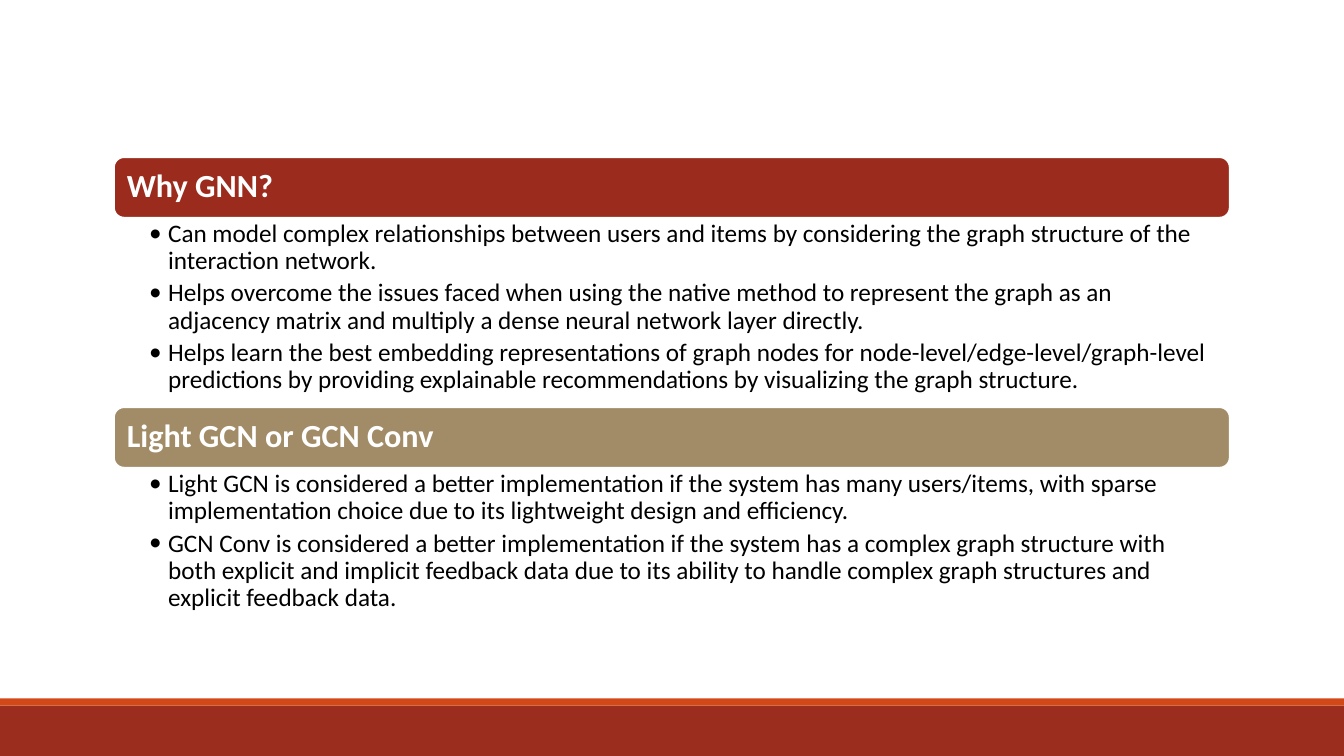
"""Build a slide on graph networks with two titled bullet lists."""
import pptx
import pptx.dml.color
import pptx.enum.shapes
import pptx.enum.text
import pptx.oxml.ns
import pptx.util
from lxml import etree

Pt = pptx.util.Pt
SHAPE = pptx.enum.shapes.MSO_SHAPE
COLORS = {"white": "FFFFFF", "black": "000000", "brick": "9B2D1F",
          "orange": "D34817", "red": "9B2B1C", "tan": "A28C67"}
FONT = "Calibri"
LEFT, WIDTH, HEAD = 81.4, 797, 43.2
PARTS = [
    ("Why GNN?", "red", 112.3, 134.6, [
        "Can model complex relationships between users and items by considering "
        "the graph structure of the interaction network.",
        "Helps overcome the issues faced when using the native method to represent "
        "the graph as an adjacency matrix and multiply a dense neural network "
        "layer directly.",
        "Helps learn the best embedding representations of graph nodes for "
        "node-level/edge-level/graph-level predictions by providing explainable "
        "recommendations by visualizing the graph structure."]),
    ("Light GCN or GCN Conv", "tan", 290.9, 108.7, [
        "Light GCN is considered a better implementation if the system has many "
        "users/items, with sparse implementation choice due to its lightweight "
        "design and efficiency.",
        "GCN Conv is considered a better implementation if the system has a complex "
        "graph structure with both explicit and implicit feedback data due to its "
        "ability to handle complex graph structures and explicit feedback data."]),
]


def color(name):
    """Return the named colour."""
    return pptx.dml.color.RGBColor.from_string(COLORS[name])


def add_bar(slide, kind, box, fill):
    """Add a filled shape without line or shadow."""
    bar = slide.shapes.add_shape(kind, *map(Pt, box))
    bar.shadow.inherit = False
    bar.fill.solid()
    bar.fill.fore_color.rgb = color(fill)
    bar.line.fill.background()
    return bar


def set_frame(frame, left, top, right, anchor):
    """Set wrapping, insets and anchor of a text frame."""
    frame.word_wrap = True
    frame.margin_left, frame.margin_right = Pt(left), Pt(right)
    frame.margin_top = frame.margin_bottom = Pt(top)
    frame.vertical_anchor = anchor


def add_run(para, text, size, ink, bold=False):
    """Add a styled run to a left-aligned paragraph."""
    para.alignment = pptx.enum.text.PP_ALIGN.LEFT
    para.line_spacing = 0.9
    run = para.add_run()
    run.text = text
    run.font.name, run.font.size, run.font.bold = FONT, Pt(size), bold
    run.font.color.rgb = color(ink)


def set_bullet(para):
    """Give a paragraph a round bullet and hanging indent."""
    props = para._p.get_or_add_pPr()
    props.set("marL", str(Pt(13.5)))
    props.set("indent", str(Pt(-13.5)))
    font = etree.SubElement(props, pptx.oxml.ns.qn("a:buFont"))
    font.set("typeface", FONT)
    mark = etree.SubElement(props, pptx.oxml.ns.qn("a:buChar"))
    mark.set("char", "•")


def add_head(slide, text, fill, top):
    """Add a rounded heading bar."""
    bar = add_bar(slide, SHAPE.ROUNDED_RECTANGLE, (LEFT, top, WIDTH, HEAD), fill)
    bar.adjustments[0] = 0.167
    bar.line.color.rgb = color("white")
    bar.line.width = Pt(1.25)
    set_frame(bar.text_frame, 7.2, 7.2, 7.2, pptx.enum.text.MSO_ANCHOR.MIDDLE)
    add_run(bar.text_frame.paragraphs[0], text, 23, "white", True)


def add_list(slide, items, top, height):
    """Add a bulleted text box."""
    box = slide.shapes.add_textbox(*map(Pt, (LEFT, top, WIDTH, height)))
    frame = box.text_frame
    set_frame(frame, 25.2, 2.16, 12.96, pptx.enum.text.MSO_ANCHOR.TOP)
    for i, item in enumerate(items):
        para = frame.add_paragraph() if i else frame.paragraphs[0]
        add_run(para, item, 18, "black")
        para.space_before = Pt(3.6 if i else 0)
        set_bullet(para)


def main():
    """Build and save the slide."""
    deck = pptx.Presentation()
    deck.slide_width, deck.slide_height = Pt(960), Pt(540)
    slide = deck.slides.add_slide(deck.slide_layouts[6])
    add_bar(slide, SHAPE.RECTANGLE, (0, 504, 960, 36), "brick")
    add_bar(slide, SHAPE.RECTANGLE, (0, 498.8, 960, 5.2), "orange")
    for title, fill, top, height, items in PARTS:
        add_head(slide, title, fill, top)
        add_list(slide, items, top + HEAD, height)
    deck.save("out.pptx")


if __name__ == "__main__":
    main()
